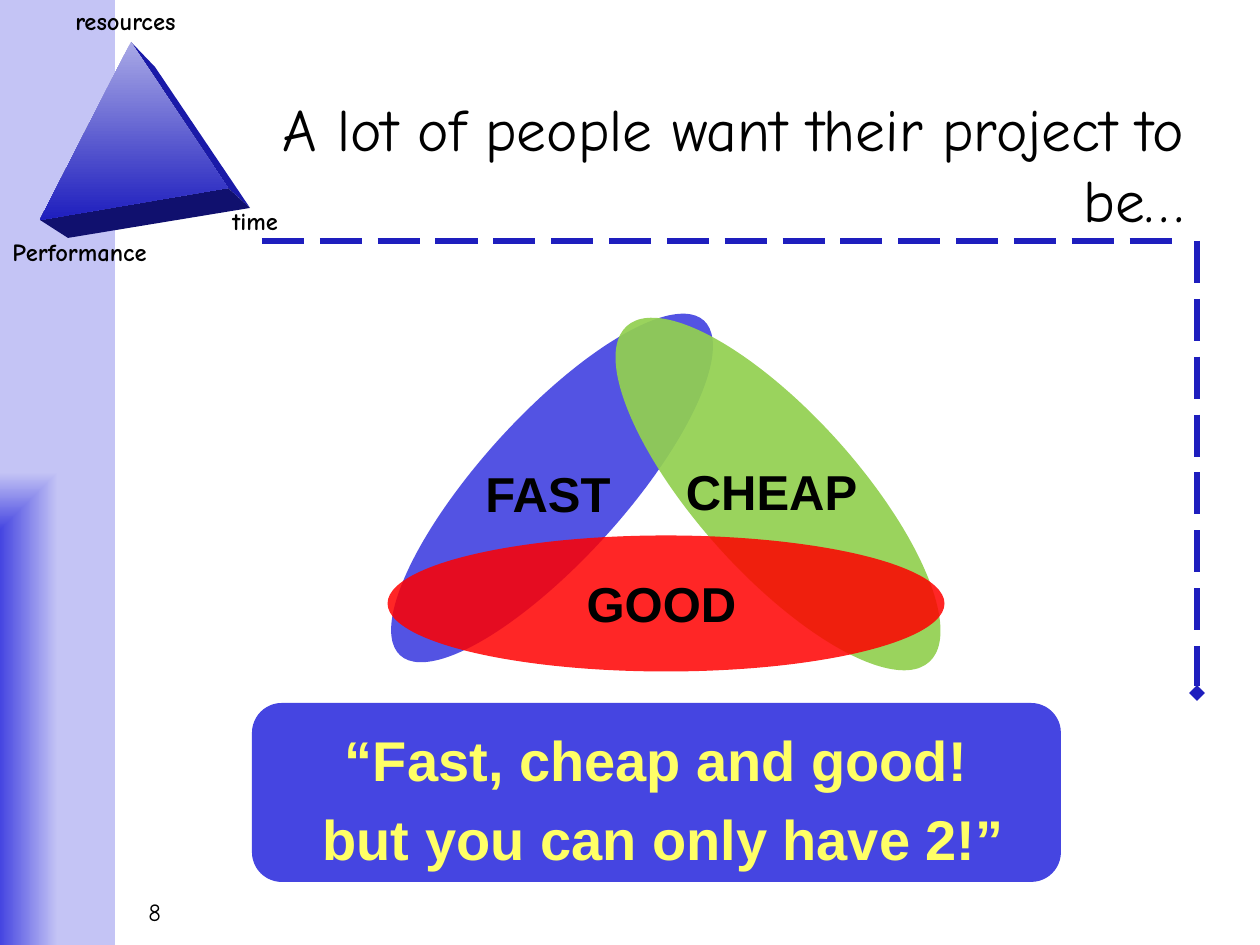
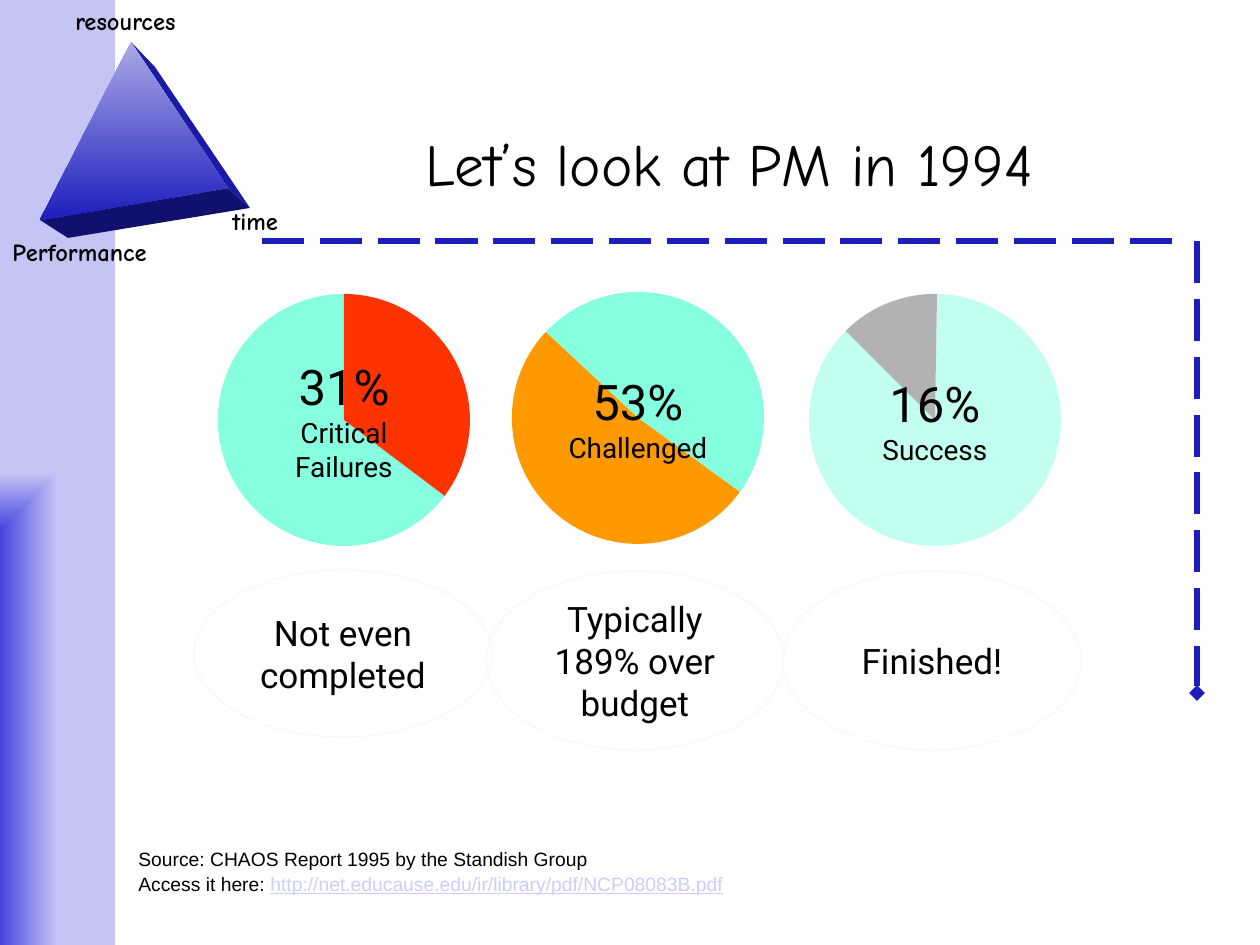
from pptx import Presentation
from pptx import util as u
from pptx.dml.color import RGBColor
from pptx.enum import dml, shapes, text
from pptx.oxml.ns import qn
from lxml import etree

PX = u.Inches(1) / 126
COLORS = {
    "ink": "000000", "blue": "4545E1", "navy": "1E1EBE", "pale": "C4C4F5",
    "face_top": "A9A9E6", "side": "1A1AA8", "base": "10106E",
    "green": "92D050", "red": "FF0000", "yellow": "FFFF66",
    "aqua": "85FFE0", "mist": "C2FFF0", "failure": "FF3300",
    "challenged": "FF9900", "success": "B2B2B2",
    "outline": "F8F8F8", "link": "CCCCFF",
}
COMIC, ARIAL, ROBOTO = "Comic Neue", "Arial", "Roboto"
KIND = shapes.MSO_SHAPE
CENTER = text.PP_ALIGN.CENTER


def px(*lengths):
    return [round(length * PX) for length in lengths]


def color(name):
    return RGBColor.from_string(COLORS[name])


def set_font(font, size, face, ink="ink", bold=None):
    font.size, font.name, font.bold = u.Pt(size), face, bold
    font.color.rgb = color(ink)


def write(frame, lines, face, ink="ink", bold=None, align=None):
    """Fill a frame with paragraphs given as (words, size) pairs."""
    for index, (words, size) in enumerate(lines):
        paragraph = frame.add_paragraph() if index else frame.paragraphs[0]
        paragraph.text = words
        paragraph.alignment = align
        set_font(paragraph.font, size, face, ink, bold)


def add_label(slide, box, words, size, face, bold=None, align=None, wrap=True):
    frame = slide.shapes.add_textbox(*px(*box)).text_frame
    frame.word_wrap = wrap
    write(frame, [(words, size)], face, bold=bold, align=align)


def add_preset(slide, kind, box, fill=None, opacity=100, rotation=0):
    shape = slide.shapes.add_shape(kind, *px(*box))
    shape.shadow.inherit = False
    shape.line.fill.background()
    shape.rotation = rotation
    if fill:
        shape.fill.solid()
        shape.fill.fore_color.rgb = color(fill)
    else:
        shape.fill.background()
    if opacity < 100:
        rgb = shape.element.spPr.find(qn("a:solidFill"))[0]
        etree.SubElement(rgb, qn("a:alpha"), val=str(opacity * 1000))
    shape.text_frame.vertical_anchor = text.MSO_ANCHOR.MIDDLE
    return shape


def set_gradient(shape, start, end, angle=0):
    shape.fill.gradient()
    for stop, name in zip(shape.fill.gradient_stops, (start, end)):
        stop.color.rgb = color(name)
    shape.fill.gradient_angle = angle


def add_face(slide, corners, fill):
    points = [px(*corner) for corner in corners]
    builder = slide.shapes.build_freeform(*points[0])
    builder.add_line_segments(points[1:])
    face = builder.convert_to_shape()
    face.shadow.inherit = False
    face.fill.solid()
    face.fill.fore_color.rgb = color(fill)
    face.line.fill.background()
    return face


def add_dashes(slide, start, end):
    dashes = slide.shapes.add_connector(
        shapes.MSO_CONNECTOR.STRAIGHT, *px(*start, *end))
    dashes.line.color.rgb = color("navy")
    dashes.line.width = u.Pt(3)
    dashes.line.dash_style = dml.MSO_LINE.LONG_DASH
    etree.SubElement(dashes.element.spPr, qn("a:effectLst"))
    return dashes


def add_sidebar(slide):
    sidebar = add_preset(slide, KIND.RECTANGLE, (0, 0, 115, 945))
    set_gradient(sidebar, "blue", "pale")
    gradient = sidebar.element.spPr.find(qn("a:gradFill"))
    gradient.remove(gradient.find(qn("a:lin")))
    corner = etree.SubElement(gradient, qn("a:path"), path="rect")
    etree.SubElement(corner, qn("a:fillToRect"),
                     l="0", t="100000", r="100000", b="0")


def add_pyramid(slide):
    apex, left, right = (131, 42), (40, 220), (228, 188)
    back_apex, back_left, back_right = (155, 67), (68, 238), (250, 208)
    add_face(slide, [apex, back_apex, back_right, right], "side")
    add_face(slide, [left, right, back_right, back_left], "base")
    front = add_face(slide, [apex, right, left], "navy")
    set_gradient(front, "face_top", "navy", 270)
    for words, box in (("resources", (63, 0, 139, 42)),
                       ("Performance", (0, 231, 174, 42)),
                       ("time", (220, 200, 77, 42))):
        add_label(slide, box, words, 14, COMIC, bold=True, wrap=False)


def furnish_layout(layout, slide):
    """Build the shared decoration on a slide, then hand it to the layout."""
    own_count = len(slide.shapes)
    add_sidebar(slide)
    add_pyramid(slide)
    add_dashes(slide, (262, 241), (1187, 241))
    border = add_dashes(slide, (1197, 241), (1197, 693))
    outline = border.element.spPr.find(qn("a:ln"))
    etree.SubElement(outline, qn("a:tailEnd"), type="diamond")
    for shape in list(slide.shapes)[own_count:]:
        layout.shapes.element.append(shape.element)


def add_titled_slide(deck, layout, words, align):
    slide = deck.slides.add_slide(layout)
    title = slide.shapes.title
    title.left, title.top, title.width, title.height = px(262, 84, 935, 158)
    frame = title.text_frame
    frame.auto_size = text.MSO_AUTO_SIZE.NONE
    frame.vertical_anchor = text.MSO_ANCHOR.MIDDLE
    write(frame, [(words, 34)], COMIC, align=align)
    return slide


def add_quote(slide, box, words):
    panel = add_preset(slide, KIND.ROUNDED_RECTANGLE, box, "blue")
    panel.text_frame.word_wrap = False
    write(panel.text_frame, [(words, 32)], ARIAL, "yellow", True, CENTER)
    return panel.text_frame


def add_choices(slide):
    upper = add_quote(slide, (252, 703, 809, 179), "“Fast, cheap and good!")
    upper.vertical_anchor = text.MSO_ANCHOR.TOP
    upper.margin_top, = px(14)
    choices = (
        ("FAST", (469, 457, 158, 72), (480, 262, 144, 452), 42.2, "blue", 92),
        ("CHEAP", (672, 455, 199, 72), (698, 268, 160, 452), 138, "green", 92),
        ("GOOD", (567, 567, 189, 72), (598, 325, 136, 557), 90, "red", 85),
    )
    for words, label, oval, rotation, fill, opacity in choices:
        add_preset(slide, KIND.OVAL, oval, fill, opacity, rotation)
        add_label(slide, label, words, 28, ARIAL, bold=True, align=CENTER)
    lower = add_quote(slide, (262, 796, 788, 84), "but you can only have 2!”")
    lower.margin_left, = px(28)


def add_slice(slide, center, start, end, fill):
    """Draw a sector clockwise between two angles counted from 3 o'clock."""
    radius = 126
    x, y = center
    sector = add_preset(slide, KIND.PIE,
                        (x - radius, y - radius, 2 * radius, 2 * radius), fill)
    for index, angle in enumerate((start, end)):
        sector.adjustments[index] = angle * 0.6  # 60000 units a degree
    return sector


def add_outcome(slide, center, angles, fills, share, oval, verdict):
    """Draw a two-part pie with its share, and the verdict below it."""
    start, end = angles
    share_fill, rest_fill = fills
    add_slice(slide, center, end, start, rest_fill)
    sector = add_slice(slide, center, start, end, share_fill)
    percent, outcome = share
    write(sector.text_frame, [(percent, 28), (outcome, 16)], ROBOTO,
          align=CENTER)
    bubble = add_preset(slide, KIND.OVAL, oval)
    bubble.line.color.rgb = color("outline")
    bubble.line.width = u.Pt(0.75)
    write(bubble.text_frame, [(verdict, 20)], ROBOTO, align=CENTER)


def add_source(slide):
    frame = slide.shapes.add_textbox(*px(126, 844, 1008, 95)).text_frame
    frame.word_wrap = True
    write(frame, [("Source: CHAOS Report 1995 by the Standish Group", 11),
                  ("Access it here: ", 11)], ARIAL)
    access = frame.paragraphs[1]
    access.space_before = u.Pt(2.2)
    address = access.add_run()
    address.text = "http://net.educause.edu/ir/library/pdf/NCP08083B.pdf"
    address.font.color.rgb = color("link")
    address.font.underline = True
    for paragraph in frame.paragraphs:
        paragraph.line_spacing = 0.9


def main():
    deck = Presentation()
    deck.slide_width, deck.slide_height = px(1260, 945)
    layout = deck.slide_layouts[5]

    wishes = add_titled_slide(deck, layout,
                              "A lot of people want their project to be…",
                              text.PP_ALIGN.RIGHT)
    add_label(wishes, (136, 891, 809, 40), "8", 14, COMIC)
    add_choices(wishes)
    furnish_layout(layout, wishes)

    report = add_titled_slide(deck, layout, "Let’s look at PM in 1994", CENTER)
    add_outcome(report, (344, 420), (270, 37), ("failure", "aqua"),
                ("31%", "Critical\vFailures"),
                (194, 570, 298, 167), "Not even completed")
    add_outcome(report, (638, 418), (36, 223), ("challenged", "aqua"),
                ("53%", "Challenged"),
                (486, 571, 298, 179), "Typically 189% over budget")
    add_outcome(report, (935, 420), (225, 271), ("success", "mist"),
                ("16%", "Success"),
                (783, 571, 298, 179), "Finished!")
    add_source(report)
    deck.save("out.pptx")


if __name__ == "__main__":
    main()
